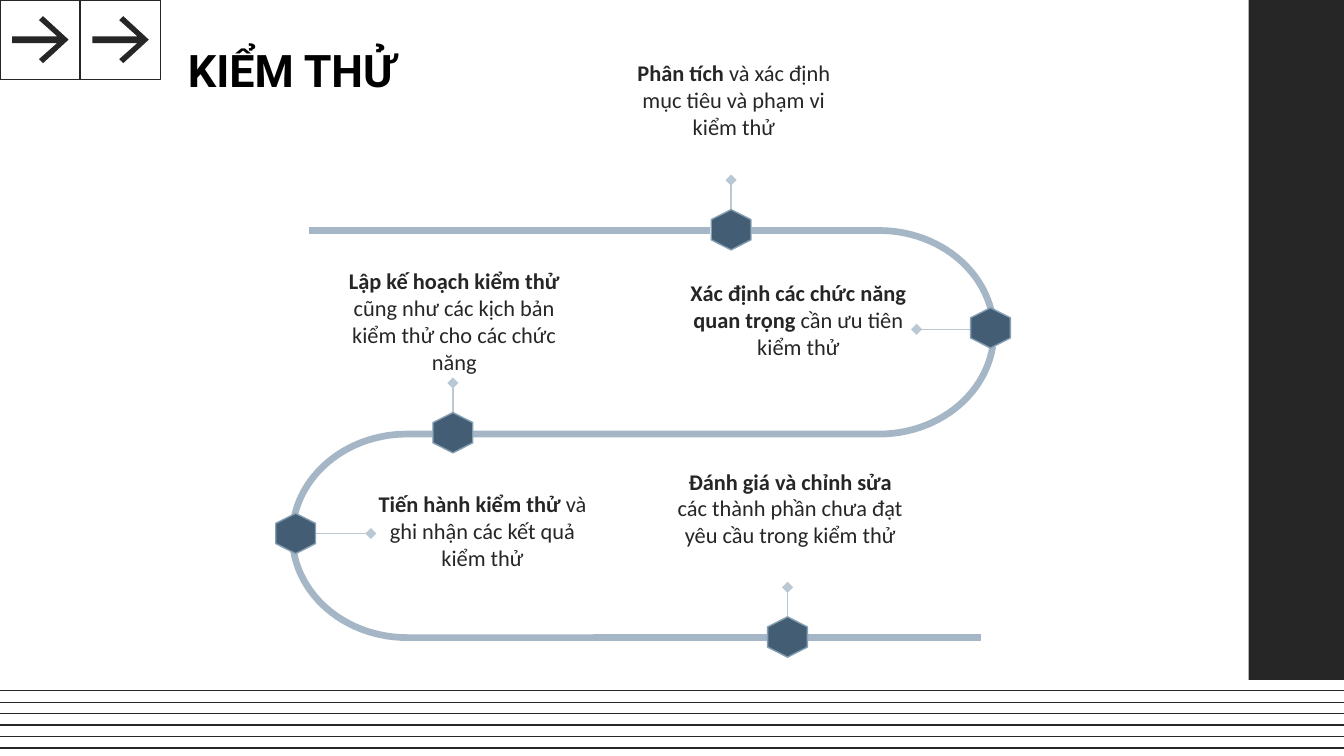
"""Build the software testing roadmap slide on a grid of 0.1 inch cells."""
from math import cos, radians, sin

from lxml import etree
from pptx import Presentation
from pptx.dml.color import RGBColor
from pptx.enum.shapes import MSO_CONNECTOR, MSO_SHAPE
from pptx.enum.text import PP_ALIGN
from pptx.oxml.ns import qn
from pptx.util import Inches, Pt

STRAIGHT = MSO_CONNECTOR.STRAIGHT
RECTANGLE = MSO_SHAPE.RECTANGLE
LEFT, CENTER = PP_ALIGN.LEFT, PP_ALIGN.CENTER

THEME = {
    "ink": RGBColor.from_string("262626"),
    "title": RGBColor.from_string("000000"),
    "road": RGBColor.from_string("A5B7C6"),
    "stop": RGBColor.from_string("435D74"),
    "stop_edge": RGBColor.from_string("869FB2"),
    "stem": RGBColor.from_string("BAC8D3"),
    "hairline": Pt(0.75),
    "title_size": Pt(24),
    "note_size": Pt(12),
    "title_face": "Roboto",
    "note_face": "Calibri",
}
CELL = Inches(0.1)
COLUMNS, ROWS = 100, 56.25

deck = Presentation()
deck.slide_width, deck.slide_height = round(COLUMNS * CELL), round(ROWS * CELL)
slide = deck.slides.add_slide(deck.slide_layouts[6])


def draw_outline(points, fill, edge=None):
    corners = [(round(x * CELL), round(y * CELL)) for x, y in points]
    builder = slide.shapes.build_freeform(*corners[0])
    builder.add_line_segments(corners[1:], close=True)
    outline = builder.convert_to_shape()
    outline.shadow.inherit = False
    outline.fill.solid()
    outline.fill.fore_color.rgb = fill
    if edge is None:
        outline.line.fill.background()
    else:
        outline.line.color.rgb = edge
        outline.line.width = THEME["hairline"]


def write(paragraph, text, *, face, size, color, bold=False):
    run = paragraph.add_run()
    run.text = text
    run.font.name = face
    run.font.size = size
    run.font.color.rgb = color
    run.font.bold = bold


panel = slide.shapes.add_shape(
    RECTANGLE, *(round(n * CELL) for n in (92.9, -0.5, 7.9, 51.1)))
panel.shadow.inherit = False
panel.fill.solid()
panel.fill.fore_color.rgb = THEME["ink"]
panel.line.fill.background()

rules = [(COLUMNS, 51.4 + 0.85 * row, 0, 51.4 + 0.85 * row, "ink", False)
         for row in range(6)]
stems = [(x1, y1, x2, y2, "stem", True) for x1, y1, x2, y2 in (
    (54.4, 13.4, 54.4, 15.6),
    (68.2, 24.5, 72.7, 24.5),
    (33.7, 28.5, 33.7, 30.8),
    (27.6, 39.7, 23.3, 39.7),
    (58.6, 43.7, 58.6, 45.9),
)]
for x1, y1, x2, y2, color, has_diamond in rules + stems:
    link = slide.shapes.add_connector(
        STRAIGHT, *(round(n * CELL) for n in (x1, y1, x2, y2)))
    link.line.color.rgb = THEME[color]
    link.line.width = THEME["hairline"]
    if has_diamond:
        etree.SubElement(link.line._get_or_add_ln(), qn("a:headEnd"), type="diamond")
    etree.SubElement(link._element.spPr, qn("a:effectLst"))

TILE = 5.97
ARROW = [(3.2, 1.2), (5.1, 2.95), (3.2, 4.7), (2.9, 4.4), (4.25, 3.2),
         (0.9, 3.2), (0.9, 2.7), (4.25, 2.7), (2.9, 1.5)]
for column in (1, 0):
    tile = slide.shapes.add_shape(
        RECTANGLE, round(column * TILE * CELL), 0, round(TILE * CELL), round(5.9 * CELL))
    tile.shadow.inherit = False
    tile.fill.background()
    tile.line.color.rgb = THEME["ink"]
    tile.line.width = THEME["hairline"]
    draw_outline([(x + column * TILE, y) for x, y in ARROW], THEME["ink"])

BAND = 0.5
LANES = (16.9, 32.05, 47.2)
RADIUS_X = 8.8
RADIUS_Y = (LANES[1] - LANES[0] + BAND) / 2
for start, end, lane in ((44.1, 57.1, 2), (23, 52.8, 0), (60, 73, 2)):
    top = LANES[lane]
    draw_outline([(start, top), (end, top), (end, top + BAND), (start, top + BAND)],
                 THEME["road"])

bends = [
    (65.4, 0, 1, -1, 55.9, 12),
    (65.4, 0, 1, 1, 35.2, 8),
    (30.3, 1, -1, -1, 32.2, 9),
    (30.3, 1, -1, 1, 48.3, 9),
]
for center_x, lane, side, rise, straight_end, first_angle in bends:
    center_y = LANES[lane] + RADIUS_Y
    angles = [radians(first_angle + (90 - first_angle) * step / 24) for step in range(25)]
    outer, inner = (
        [(center_x + side * (RADIUS_X - inset) * cos(angle),
          center_y + rise * (RADIUS_Y - inset) * sin(angle)) for angle in angles]
        + [(straight_end, center_y + rise * (RADIUS_Y - inset))]
        for inset in (0, BAND))
    draw_outline(outer + inner[::-1], THEME["road"])

HEXAGON = [(1.48, -0.75), (0, -1.5), (-1.48, -0.75), (-1.48, 0.75), (0, 1.5), (1.48, 0.75)]
for stop_x, stop_y in ((54.4, 17.1), (73.7, 24.4), (22, 39.7), (33.7, 32.2), (58.6, 47.4)):
    draw_outline([(stop_x + x, stop_y + y) for x, y in HEXAGON],
                 THEME["stop"], THEME["stop_edge"])

texts = [
    (13, 2.2, 19.2, 4.1, "title", LEFT, "KIỂM THỬ", ""),
    (45.2, 3.4, 18.8, 8.8, "note", CENTER,
     "Phân tích ", "và xác định mục tiêu và phạm vi kiểm thử"),
    (50, 19.8, 18.8, 8.8, "note", CENTER,
     "Xác định các chức năng quan trọng ", "cần ưu tiên kiểm thử"),
    (23.5, 18.9, 20.6, 8.8, "note", CENTER,
     "Lập kế hoạch kiểm thử ", "cũng như các kịch bản kiểm thử cho các chức năng"),
    (26.5, 35.5, 18.8, 8.8, "note", CENTER,
     "Tiến hành kiểm thử ", "và ghi nhận các kết quả kiểm thử"),
    (49.4, 33.8, 18.8, 8.8, "note", CENTER,
     "Đánh giá và chỉnh sửa ", "các thành phần chưa đạt yêu cầu trong kiểm thử"),
]
for left, top, width, height, role, alignment, lead, detail in texts:
    frame = slide.shapes.add_textbox(
        *(round(n * CELL) for n in (left, top, width, height))).text_frame
    frame.word_wrap = True
    frame.margin_left = frame.margin_right = frame.margin_top = frame.margin_bottom = CELL
    paragraph = frame.paragraphs[0]
    paragraph.alignment = alignment
    style = {"face": THEME[f"{role}_face"], "size": THEME[f"{role}_size"],
             "color": THEME["title" if role == "title" else "ink"]}
    write(paragraph, lead, bold=True, **style)
    if detail:
        write(paragraph, detail, **style)

deck.save("out.pptx")
